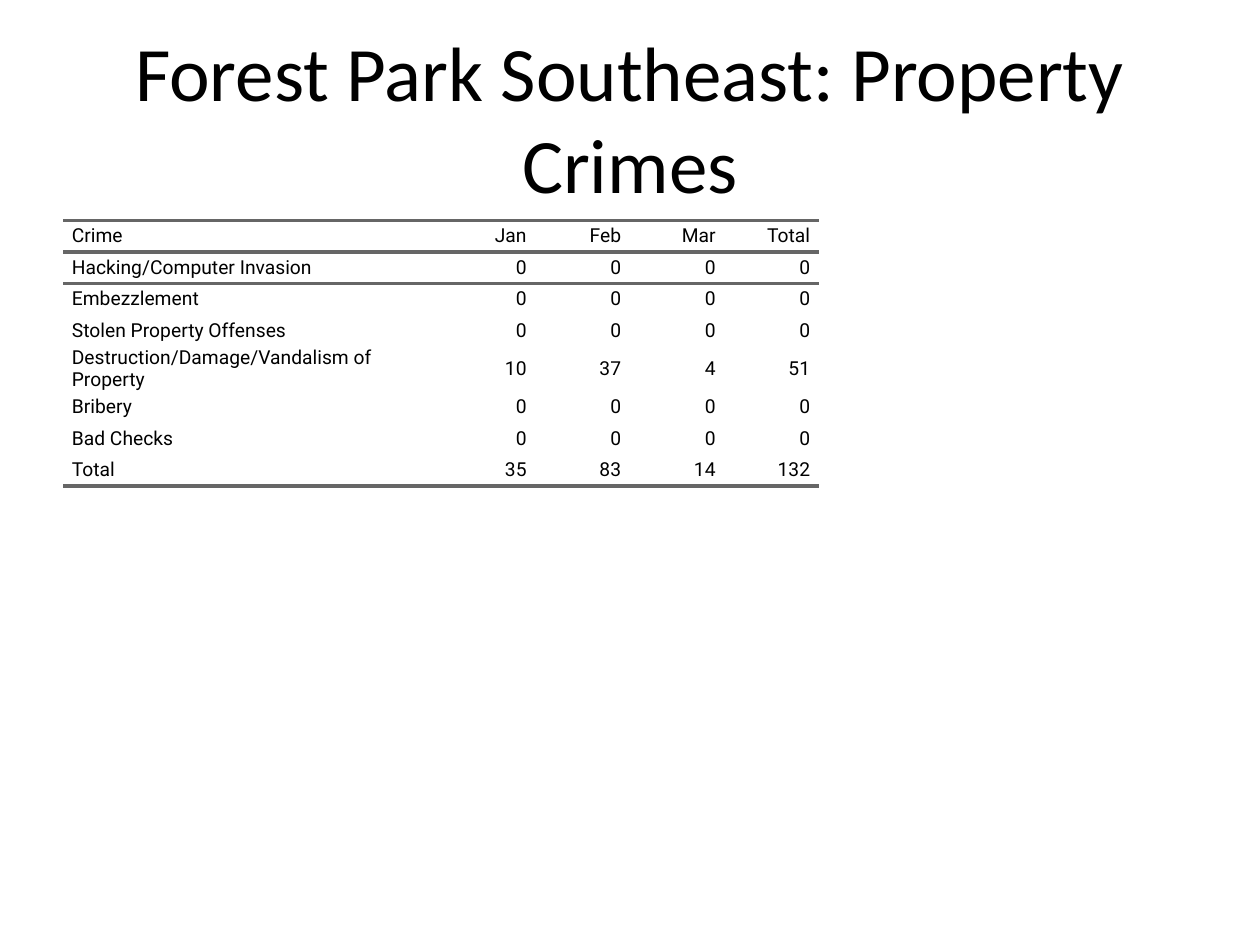
from lxml import etree
from pptx import Presentation
from pptx.dml.color import RGBColor
from pptx.enum.text import MSO_ANCHOR, PP_ALIGN
from pptx.oxml.ns import qn
from pptx.util import Pt

EMU_PER_PX = 9144
BLACK = RGBColor(0x00, 0x00, 0x00)
GRAY = RGBColor(0x66, 0x66, 0x66)
LEFT, CENTER, RIGHT = PP_ALIGN.LEFT, PP_ALIGN.CENTER, PP_ALIGN.RIGHT
MIDDLE = MSO_ANCHOR.MIDDLE
PLAIN_TABLE = "{2D5ABB26-0587-4C30-8999-92F81FD0307C}"

CRIMES = [
    ("Crime", "Jan", "Feb", "Mar", "Total"),
    ("Hacking/Computer Invasion", "0", "0", "0", "0"),
    ("Embezzlement", "0", "0", "0", "0"),
    ("Stolen Property Offenses", "0", "0", "0", "0"),
    ("Destruction/Damage/Vandalism of Property", "10", "37", "4", "51"),
    ("Bribery", "0", "0", "0", "0"),
    ("Bad Checks", "0", "0", "0", "0"),
    ("Total", "35", "83", "14", "132"),
]


def px(n):
    return int(n * EMU_PER_PX)


class SlideBuilder:
    title_font = {"name": "Calibri", "size": Pt(44)}
    cell_font = {"name": "Roboto", "size": Pt(11)}
    cell_format = {"margin_left": 0, "margin_top": 0, "margin_right": 0,
                   "margin_bottom": 0, "vertical_anchor": MIDDLE}
    indent = px(7)
    rule_width = Pt(2)

    def __init__(self, slide):
        self.s = slide

    def add_text(self, p, text, font, align):
        p.alignment = align
        r = p.add_run()
        r.text = text
        for name, value in font.items():
            setattr(r.font, name, value)
        r.font.color.rgb = BLACK

    def title(self, text, x, y, w, h):
        sp = self.s.shapes.title
        sp.left, sp.top, sp.width, sp.height = map(px, (x, y, w, h))
        tf = sp.text_frame
        tf.word_wrap = True
        tf.vertical_anchor = MIDDLE
        self.add_text(tf.paragraphs[0], text, self.title_font, CENTER)

    def rule(self, cell, sides):
        tc_pr = cell._tc.get_or_add_tcPr()
        for i, side in enumerate(sides):
            ln = etree.Element(qn(f"a:ln{side}"), w=str(self.rule_width))
            fill = etree.SubElement(ln, qn("a:solidFill"))
            etree.SubElement(fill, qn("a:srgbClr"), val=str(GRAY))
            tc_pr.insert(i, ln)

    def cell(self, cell, text, align):
        for name, value in self.cell_format.items():
            setattr(cell, name, value)
        cell.fill.background()
        p = cell.text_frame.paragraphs[0]
        self.add_text(p, text, self.cell_font, align)
        for side in ("marL", "marR"):
            p._p.get_or_add_pPr().set(side, str(self.indent))

    def table(self, rows, x, y, widths, row_h):
        size = (sum(widths), row_h * len(rows))
        table = self.s.shapes.add_table(
            len(rows), len(widths), *map(px, (x, y, *size))).table
        table.first_row = table.horz_banding = False
        table._tbl.tblPr.find(qn("a:tableStyleId")).text = PLAIN_TABLE
        for col, w in zip(table.columns, widths):
            col.width = px(w)
        rules = {0: "TB", 1: "T", len(rows) - 1: "B"}
        for i, row in enumerate(rows):
            table.rows[i].height = px(row_h)
            for j, text in enumerate(row):
                cell = table.cell(i, j)
                self.cell(cell, text, RIGHT if j else LEFT)
                self.rule(cell, rules.get(i, ""))


def main():
    prs = Presentation()
    prs.slide_width, prs.slide_height = px(1000), px(750)
    builder = SlideBuilder(prs.slides.add_slide(prs.slide_layouts[5]))
    builder.title("Forest Park Southeast: Property Crimes", 50, 30, 900, 125)
    builder.table(CRIMES, 50, 175, [300] + [75] * 4, 25)
    prs.save("out.pptx")


if __name__ == "__main__":
    main()
